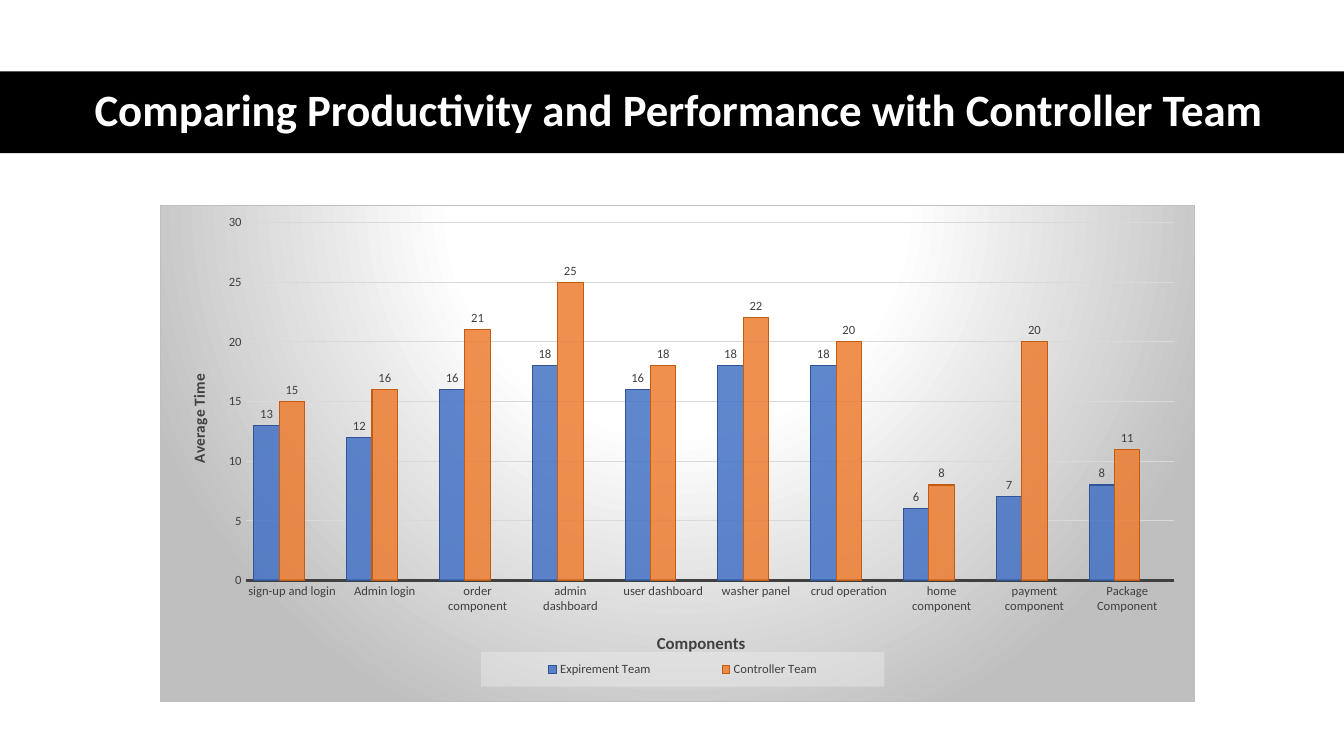
from dataclasses import dataclass

from pptx import Presentation
from pptx.chart.data import CategoryChartData
from pptx.dml.color import RGBColor
from pptx.enum.chart import (XL_CHART_TYPE as ChartType, XL_LABEL_POSITION as LabelPosition,
                             XL_LEGEND_POSITION as LegendPosition, XL_TICK_MARK as TickMark)
from pptx.enum.shapes import MSO_SHAPE as Preset
from pptx.enum.text import MSO_ANCHOR as Anchor, MSO_AUTO_SIZE as AutoSize, PP_ALIGN as Align
from pptx.oxml import parse_xml
from pptx.oxml.ns import nsdecls, qn
from pptx.util import Pt


@dataclass(frozen=True)
class Theme:
    font: str = "Calibri"
    band: str = "000000"
    heading: str = "FFFFFF"
    text: str = "404040"
    grid: str = "D9D9D9"
    panel_inner: str = "FFFFFF"
    panel_outer: str = "BFBFBF"
    legend: str = "F2F2F2"
    heading_size: float = 32
    chart_size: float = 10
    label_size: float = 9
    category_title_size: float = 12
    value_title_size: float = 11


THEME = Theme()
COMPONENTS = ["sign-up and login", "Admin login", "order component", "admin dashboard",
              "user dashboard", "washer panel", "crud operation", "home component",
              "payment component", "Package Component"]
# Name, values, fill, outline; the empty third series keeps its slot in each group
TEAMS = [
    ("Expirement Team", [13, 12, 16, 18, 16, 18, 18, 6, 7, 8], "4472C4", "2F5597"),
    ("Controller Team", [15, 16, 21, 25, 18, 22, 20, 8, 20, 11], "ED7D31", "C55A11"),
    ("Series 3", [None] * len(COMPONENTS), "A5A5A5", "7C7C7C"),
]


def style_font(font, size, color=THEME.text, bold=False):
    font.name, font.size, font.bold = THEME.font, Pt(size), bold
    font.color.rgb = RGBColor.from_string(color)


def style_line(line, color, width=0.75):
    line.color.rgb = RGBColor.from_string(color)
    line.width = Pt(width)


def place(shape, left, top, width, height):
    shape.left, shape.top, shape.width, shape.height = map(Pt, (left, top, width, height))


def set_layout(element, index, inner=False, **edges):
    """Position a chart part by fractions of the chart area."""
    for old in element.findall(qn("c:layout")):
        element.remove(old)
    target = '<c:layoutTarget val="inner"/>' if inner else ""
    modes = '<c:xMode val="edge"/><c:yMode val="edge"/>'
    values = "".join(f'<c:{key} val="{value}"/>' for key, value in edges.items())
    element.insert(index, parse_xml(
        f'<c:layout {nsdecls("c")}><c:manualLayout>{target}{modes}{values}'
        '</c:manualLayout></c:layout>'))


def add_band(page):
    band = page.shapes.add_shape(Preset.RECTANGLE, 0, Pt(51), Pt(960), Pt(58.5))
    band.shadow.inherit = False
    band.fill.solid()
    band.fill.fore_color.rgb = RGBColor.from_string(THEME.band)
    band.line.fill.background()
    page.shapes._spTree.insert(2, band._element)  # behind the title


def add_heading(page, text):
    title = page.shapes.title
    place(title, 44, 50.5, 882.5, 58.5)
    frame = title.text_frame
    frame.text = text
    frame.word_wrap, frame.auto_size = True, AutoSize.NONE
    frame.vertical_anchor = Anchor.MIDDLE
    para = frame.paragraphs[0]
    para.alignment, para.line_spacing = Align.CENTER, 0.9
    style_font(para.runs[0].font, THEME.heading_size, THEME.heading, bold=True)


def style_axis(axis, title, size, x, y):
    axis.major_tick_mark = axis.minor_tick_mark = TickMark.NONE
    style_font(axis.tick_labels.font, THEME.label_size)
    frame = axis.axis_title.text_frame
    frame.text = title
    style_font(frame.paragraphs[0].runs[0].font, size, bold=True)
    set_layout(axis.axis_title._element, 1, x=x, y=y)


def style_series(series, fill, outline):
    series.format.fill.solid()
    series.format.fill.fore_color.rgb = RGBColor.from_string(fill)
    color = series._element.find(".//" + qn("a:srgbClr"))
    color.append(parse_xml(f'<a:alpha {nsdecls("a")} val="85000"/>'))
    style_line(series.format.line, outline)
    labels = series.data_labels
    labels.show_value, labels.position = True, LabelPosition.OUTSIDE_END
    style_font(labels.font, THEME.label_size)


def style_legend(chart):
    chart.has_legend = True
    legend = chart.legend
    legend.position, legend.include_in_layout = LegendPosition.BOTTOM, False
    style_font(legend.font, THEME.label_size)
    element = legend._element
    set_layout(element, 1, x=0.31, y=0.9, w=0.39, h=0.07)
    element.insert(1, parse_xml(
        f'<c:legendEntry {nsdecls("c")}><c:idx val="2"/><c:delete val="1"/></c:legendEntry>'))
    element.find(qn("c:overlay")).addnext(parse_xml(
        f'<c:spPr {nsdecls("c", "a")}><a:solidFill><a:srgbClr val="{THEME.legend}">'
        '<a:alpha val="39000"/></a:srgbClr></a:solidFill></c:spPr>'))


def fill_panel(chart):
    """Radial gradient and border behind the whole chart."""
    stops = [(0, THEME.panel_inner), (39, THEME.panel_inner), (100, THEME.panel_outer)]
    stop_xml = "".join(f'<a:gs pos="{percent * 1000}"><a:srgbClr val="{color}"/></a:gs>'
                       for percent, color in stops)
    chart._chartSpace.find(qn("c:chart")).addnext(parse_xml(
        f'<c:spPr {nsdecls("c", "a")}><a:gradFill><a:gsLst>{stop_xml}</a:gsLst>'
        '<a:path path="circle"><a:fillToRect l="50000" t="-80000" r="50000" b="180000"/>'
        f'</a:path></a:gradFill><a:ln w="{Pt(0.75)}"><a:solidFill>'
        f'<a:srgbClr val="{THEME.panel_outer}"/></a:solidFill></a:ln></c:spPr>'))


def add_team_chart(page):
    data = CategoryChartData()
    data.categories = COMPONENTS
    for name, values, _, _ in TEAMS:
        data.add_series(name, values)
    chart = page.shapes.add_chart(ChartType.COLUMN_CLUSTERED, Pt(114.5), Pt(146.5),
                                  Pt(739), Pt(355), data).chart
    chart.has_title = False
    style_font(chart.font, THEME.chart_size, "000000")
    fill_panel(chart)

    # Columns
    plot = chart.plots[0]
    plot.gap_width, plot.overlap, plot.vary_by_categories = 65, 0, False
    for series, (_, _, fill, outline) in zip(plot.series, TEAMS):
        style_series(series, fill, outline)
    set_layout(chart._chartSpace.find(".//" + qn("c:plotArea")), 0, inner=True,
               x=0.082, y=0.034, w=0.898, h=0.722)

    # Axes
    category, value = chart.category_axis, chart.value_axis
    style_axis(category, "Components", THEME.category_title_size, 0.477, 0.854)
    style_line(category.format.line, THEME.text, 1.5)
    style_axis(value, "Average Time", THEME.value_title_size, 0.024, 0.334)
    body = value.axis_title._element.find(".//" + qn("a:bodyPr"))
    body.set("rot", "-5400000")
    body.set("vert", "horz")
    value.minimum_scale, value.maximum_scale, value.major_unit = 0, 30, 5
    value.format.line.fill.background()
    style_line(value.major_gridlines.format.line, THEME.grid)

    style_legend(chart)


def main():
    deck = Presentation()
    deck.slide_width, deck.slide_height = Pt(960), Pt(540)
    page = deck.slides.add_slide(deck.slide_layouts[0])
    subtitle = page.placeholders[1]._element
    subtitle.getparent().remove(subtitle)
    add_band(page)
    add_heading(page, "Comparing Productivity and Performance with Controller Team")
    add_team_chart(page)
    deck.save("out.pptx")


if __name__ == "__main__":
    main()
